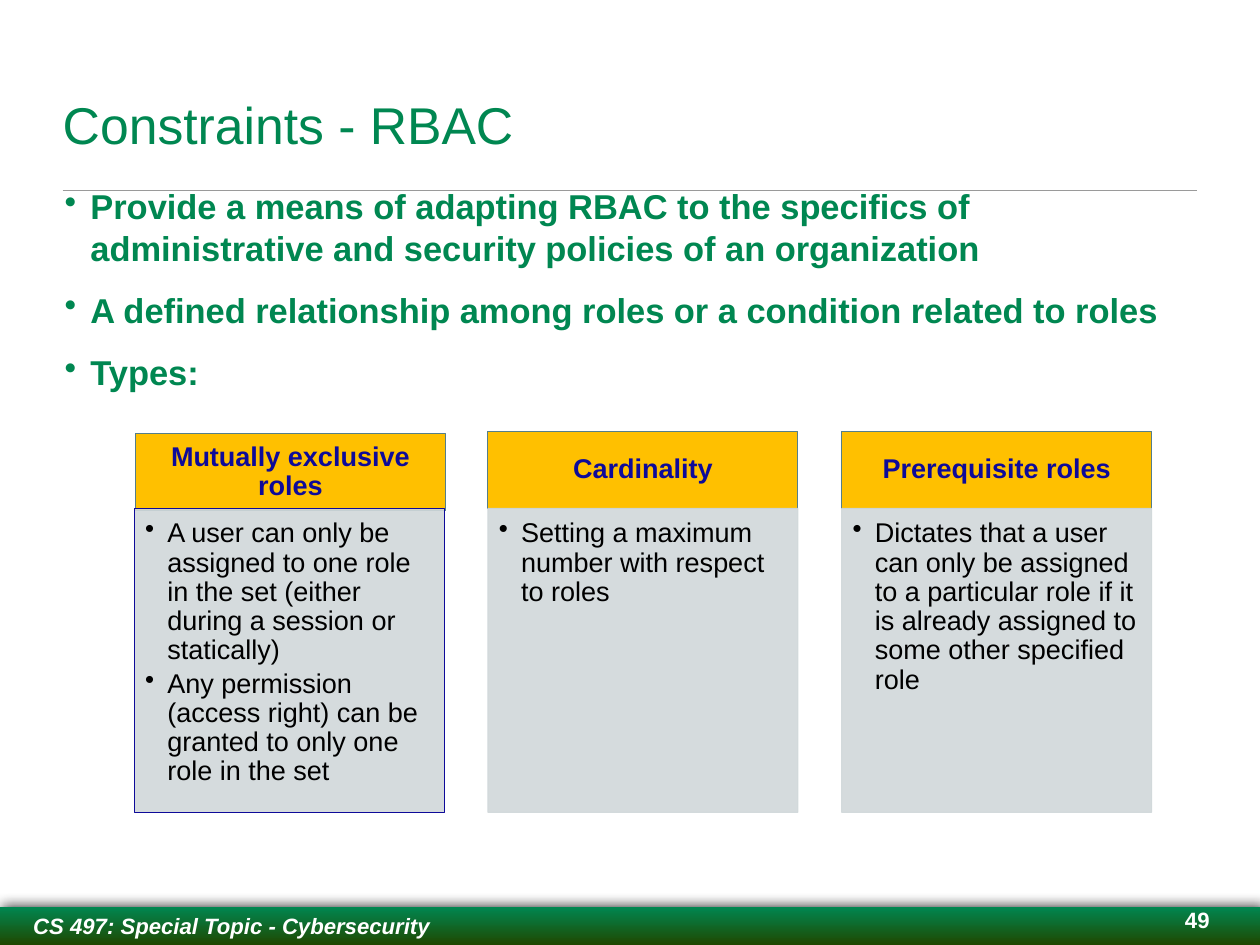
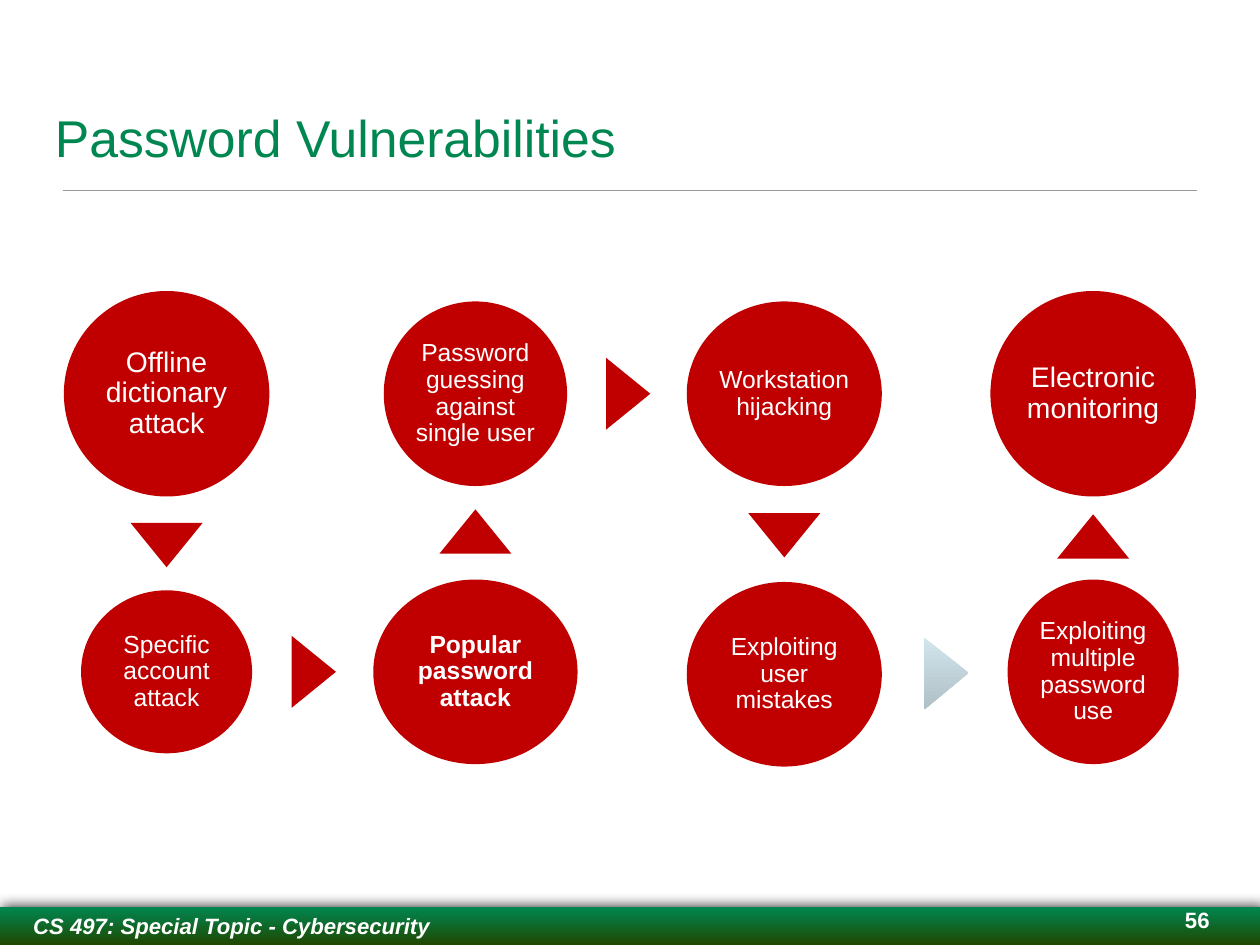
import dataclasses
import lxml.etree
import pptx
import pptx.dml.color
import pptx.enum.shapes
import pptx.enum.text
import pptx.oxml.ns
import pptx.util

Pt = pptx.util.Pt
RGB = pptx.dml.color.RGBColor.from_string
Align = pptx.enum.text.PP_ALIGN
Anchor = pptx.enum.text.MSO_ANCHOR
Kind = pptx.enum.shapes.MSO_SHAPE
qn = pptx.oxml.ns.qn
sub = lxml.etree.SubElement


@dataclasses.dataclass(frozen=True)
class Theme:
    font: str = "Arial"
    green: str = "008751"
    dark: str = "1F4800"
    rule: str = "9A9A9A"
    gold: str = "FFC000"
    steel: str = "557E8A"
    navy: str = "0E0A99"
    grey: str = "D1D8DA"
    red: str = "C00000"
    pale: str = "D3E6ED"
    dusk: str = "AEC0C6"
    white: str = "FFFFFF"
    black: str = "000000"
    title: int = 42
    body: int = 28
    card: int = 22
    large: int = 23
    small: int = 20
    foot: int = 18


theme = Theme()


def draw(slide, kind, box, fill, edge=None):
    shape = slide.shapes.add_shape(kind, *map(Pt, box))
    shape.shadow.inherit = False
    if isinstance(fill, tuple):
        shape.fill.gradient()
        shape.fill.gradient_angle = 270
        for stop, color in zip(shape.fill.gradient_stops, fill):
            stop.color.rgb = RGB(color)
    else:
        shape.fill.solid()
        shape.fill.fore_color.rgb = RGB(fill)
    if edge:
        shape.line.color.rgb = RGB(edge)
        shape.line.width = Pt(0.75)
    else:
        shape.line.fill.background()
    return shape


def write(shape, lines, size, color, align=Align.LEFT, anchor=Anchor.MIDDLE, inset=(0, 0, 0, 0),
          bold=False, slant=False, space=1, before=0, after=0, left=0, mark=False):
    frame = shape.text_frame
    frame.word_wrap = True
    frame.vertical_anchor = anchor
    frame.margin_left, frame.margin_top, frame.margin_right, frame.margin_bottom = map(Pt, inset)
    for spot, line in enumerate(lines):
        para = frame.add_paragraph() if spot else frame.paragraphs[0]
        para.alignment = align
        para.line_spacing = space
        para.space_before = Pt(before)
        para.space_after = Pt(after)
        props = para._p.get_or_add_pPr()
        props.set("marL", str(Pt(left)))
        props.set("indent", str(-Pt(left) if mark else 0))
        if mark:
            sub(props, qn("a:buChar"), char="•")
        run = para.add_run()
        run.text = line
        run.font.name = theme.font
        run.font.size = Pt(size)
        run.font.bold = bold
        run.font.italic = slant
        run.font.color.rgb = RGB(color)


deck = pptx.Presentation()
deck.slide_width, deck.slide_height = Pt(1024), Pt(768)

pages = [
    ("Constraints - RBAC", (51, 66, 922, 60), "49"),
    ("Password Vulnerabilities", (44.6, 26, 934, 110), "56"),
]
for title, box, page in pages:
    slide = deck.slides.add_slide(deck.slide_layouts[6])
    rule = slide.shapes.add_connector(
        pptx.enum.shapes.MSO_CONNECTOR.STRAIGHT, Pt(51), Pt(155), Pt(973), Pt(155))
    rule.line.color.rgb = RGB(theme.rule)
    rule.line.width = Pt(1)
    sub(rule._element.spPr, qn("a:effectLst"))

    band = draw(slide, Kind.RECTANGLE, (0, 737, 1024, 31), (theme.green, theme.dark))
    glow = sub(band._element.spPr.find(qn("a:effectLst")), qn("a:outerShdw"),
               blurRad=str(Pt(10)), dist=str(Pt(2)), dir="18900000", rotWithShape="0")
    tint = sub(glow, qn("a:srgbClr"), val=theme.black)
    sub(tint, qn("a:alpha"), val="75000")
    write(band, ["CS 497: Special Topic - Cybersecurity"], theme.foot, theme.white,
          bold=True, slant=True, left=27)

    head = slide.shapes.add_textbox(*map(Pt, box))
    write(head, [title], theme.title, theme.green, anchor=Anchor.BOTTOM)
    foot = slide.shapes.add_textbox(Pt(933), Pt(737), Pt(50), Pt(22))
    write(foot, [page], theme.foot, theme.white, Align.RIGHT, Anchor.TOP, bold=True)

roles, flaws = deck.slides

body = roles.shapes.add_textbox(Pt(52.5), Pt(150.5), Pt(922), Pt(563))
write(body, [
    "Provide a means of adapting RBAC to the specifics of administrative and security policies of an organization",
    "A defined relationship among roles or a condition related to roles",
    "Types:",
], theme.body, theme.green, anchor=Anchor.TOP, bold=True, before=17.1, left=21, mark=True)

cards = [
    ("Mutually exclusive roles", [
        "A user can only be assigned to one role in the set (either during a session or statically)",
        "Any permission (access right) can be granted to only one role in the set",
    ], theme.navy, (1, 2)),
    ("Cardinality", ["Setting a maximum number with respect to roles"], theme.grey, (0, 0)),
    ("Prerequisite roles", [
        "Dictates that a user can only be assigned to a particular role if it is already assigned to some other specified role",
    ], theme.grey, (0, 0)),
]
for col, (name, notes, edge, (right, down)) in enumerate(cards):
    left = 109 + 287.5 * col
    top = draw(roles, Kind.RECTANGLE, (left + right, 350.6 + down, 252, 62.6), theme.gold, theme.steel)
    write(top, [name], theme.card, theme.navy, Align.CENTER, inset=(12, 7, 12, 7),
          bold=True, space=0.9)
    panel = draw(roles, Kind.RECTANGLE, (left, 413.2, 252, 247), theme.grey, edge)
    for tint in panel._element.spPr.iter(qn("a:srgbClr")):
        if tint.get("val") == theme.grey:
            sub(tint, qn("a:alpha"), val="90000")
    write(panel, notes, theme.card, theme.black, anchor=Anchor.TOP, inset=(9, 9, 12, 14),
          space=0.9, after=3.3, left=18, mark=True)

flow = [
    ("Offline dictionary attack", 0, 320, 167, 167, theme.large),
    ("Specific account attack", 0, 546, 139, 132.5, theme.small),
    ("Popular password attack", 1, 546, 166, 150, theme.small),
    ("Password guessing against single user", 1, 320, 149, 150, theme.small),
    ("Workstation hijacking", 2, 320, 158.5, 150, theme.small),
    ("Exploiting user mistakes", 2, 548, 158.5, 150, theme.small),
    ("Exploiting multiple password use", 3, 546, 139, 150, theme.small),
    ("Electronic monitoring", 3, 320, 167, 167, theme.large),
]
for name, col, mid, wide, high, size in flow:
    box = (135.4 + 251 * col - wide / 2, mid - high / 2, wide, high)
    disc = draw(flaws, Kind.OVAL, box, theme.red)
    write(disc, [name], size, theme.white, Align.CENTER, inset=(2, 2, 2, 2),
          bold=name.startswith("Popular"), space=0.9)

heads = [
    (135.4, 443, 180, theme.red),
    (255, 546, 90, theme.red),
    (386.4, 432, 0, theme.red),
    (510.5, 320, 90, theme.red),
    (637.4, 435, 180, theme.red),
    (769, 547, 89.5, (theme.pale, theme.dusk)),
    (888.4, 436, 0, theme.red),
]
for across, mid, turn, fill in heads:
    arrow = draw(flaws, Kind.ISOSCELES_TRIANGLE, (across - 29.25, mid - 18, 58.5, 36), fill)
    arrow.rotation = turn
    for grade in arrow._element.spPr.iter(qn("a:gradFill")):
        grade.set("rotWithShape", "0")

deck.save("out.pptx")
